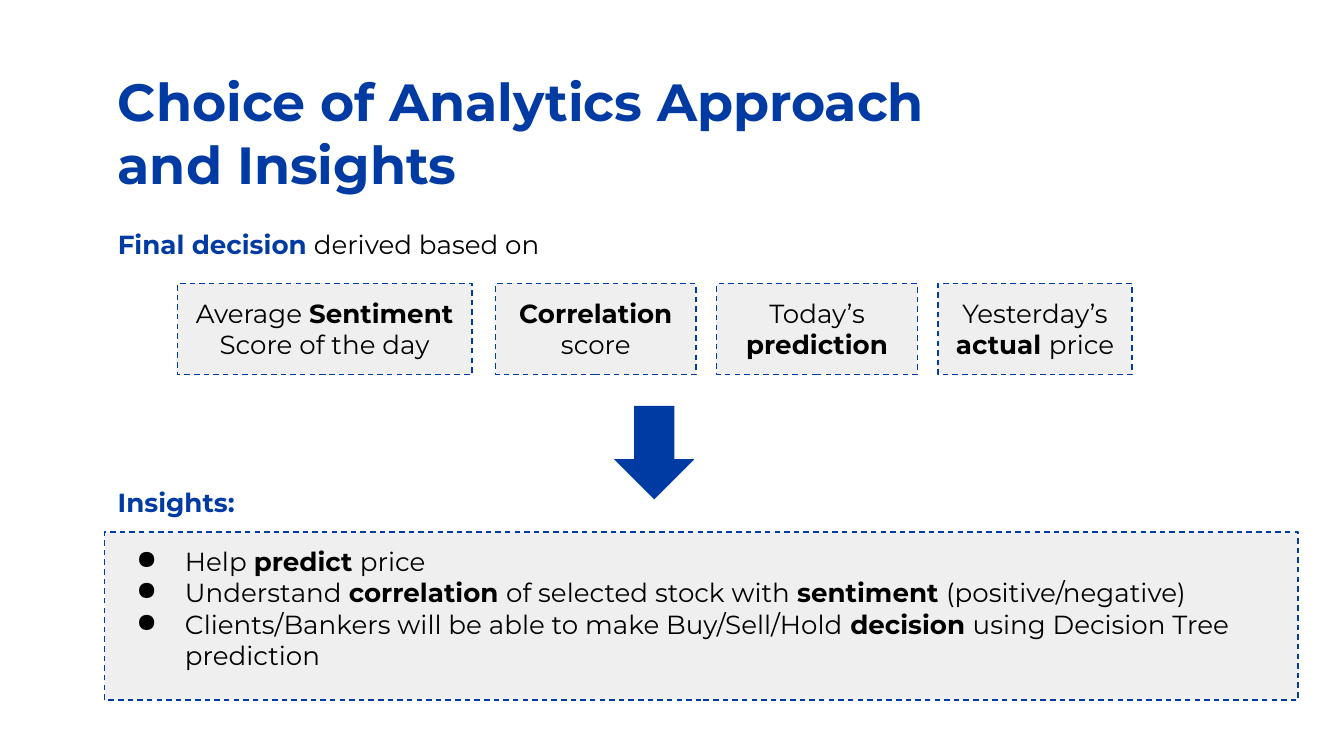
from dataclasses import dataclass
from typing import NamedTuple

from lxml import etree
from pptx import Presentation
from pptx.dml.color import RGBColor
from pptx.enum.dml import MSO_LINE
from pptx.enum.shapes import MSO_SHAPE
from pptx.enum.text import MSO_ANCHOR, PP_ALIGN
from pptx.oxml.ns import qn
from pptx.util import Pt

DASH = MSO_LINE.DASH
RECT, ARROW = MSO_SHAPE.RECTANGLE, MSO_SHAPE.LEFT_ARROW
TOP = MSO_ANCHOR.TOP
LEFT, CENTER = PP_ALIGN.LEFT, PP_ALIGN.CENTER
FONT = "Montserrat"
COLORS = {"blue": "003BA3", "black": "000000", "gray": "EFEFEF"}


class Span(NamedTuple):
    text: str
    bold: bool = False
    color: str = "black"


@dataclass
class Block:
    left: float
    top: float
    width: float
    height: float
    lines: list[list[Span]]
    size: float = 14
    align: PP_ALIGN = LEFT
    bullet: bool = False


def rgb(name: str) -> RGBColor:
    return RGBColor.from_string(COLORS[name])


def area(block: Block) -> tuple[Pt, Pt, Pt, Pt]:
    return Pt(block.left), Pt(block.top), Pt(block.width), Pt(block.height)


def add_bullet(para) -> None:
    props = para._p.get_or_add_pPr()
    props.set("marL", str(Pt(36)))
    props.set("indent", str(-Pt(26)))
    tint = etree.SubElement(props, qn("a:buClr"))
    etree.SubElement(tint, qn("a:srgbClr"), val=COLORS["black"])
    etree.SubElement(props, qn("a:buChar"), char="●")


def write(shape, block: Block) -> None:
    frame = shape.text_frame
    frame.word_wrap = True
    frame.vertical_anchor = TOP
    frame.margin_left = frame.margin_right = Pt(7.2)
    frame.margin_top = frame.margin_bottom = Pt(7.2)
    for index, line in enumerate(block.lines):
        para = frame.add_paragraph() if index else frame.paragraphs[0]
        para.alignment = block.align
        if block.bullet:
            add_bullet(para)
        for span in line:
            run = para.add_run()
            run.text = span.text
            run.font.name = FONT
            run.font.size = Pt(block.size)
            run.font.bold = span.bold
            run.font.color.rgb = rgb(span.color)


def draw_text(slide, block: Block) -> None:
    write(slide.shapes.add_textbox(*area(block)), block)


def draw_box(slide, block: Block) -> None:
    box = slide.shapes.add_shape(RECT, *area(block))
    box.shadow.inherit = False
    box.fill.solid()
    box.fill.fore_color.rgb = rgb("gray")
    box.line.color.rgb = rgb("blue")
    box.line.width = Pt(0.75)
    box.line.dash_style = DASH
    write(box, block)


def draw_arrow(slide) -> None:
    arrow = slide.shapes.add_shape(ARROW, Pt(325.5), Pt(221), Pt(50), Pt(43))
    arrow.rotation = 270
    arrow.shadow.inherit = False
    arrow.fill.solid()
    arrow.fill.fore_color.rgb = rgb("blue")
    arrow.line.fill.background()


def factor(left: float, width: float, *spans: Span) -> Block:
    return Block(left, 152, width, 48.5, [list(spans)], align=CENTER)


TEXTS = [
    Block(56, 30, 608, 45.5, [
        [Span("Choice of Analytics Approach", True, "blue")],
        [Span("and Insights", True, "blue")],
    ], size=28),
    Block(56, 115, 654.5, 115, [
        [Span("Final decision", True, "blue"), Span(" derived based on")],
    ]),
    Block(56, 253.5, 236, 31.5, [[Span("Insights:", True, "blue")]]),
]
BOXES = [
    factor(95, 158, Span("Average "), Span("Sentiment ", True),
           Span("Score of the day")),
    factor(265.5, 107.5, Span("Correlation ", True), Span("score")),
    factor(384, 107.5, Span("Today’s "), Span("prediction", True)),
    factor(502.5, 104, Span("Yesterday’s "), Span("actual ", True),
           Span("price")),
    Block(56, 285, 639.5, 90, [
        [Span("Help "), Span("predict ", True), Span("price")],
        [Span("Understand "), Span("correlation ", True),
         Span("of selected stock with "), Span("sentiment ", True),
         Span("(positive/negative)")],
        [Span("Clients/Bankers will be able to make Buy/Sell/Hold "),
         Span("decision ", True), Span("using Decision Tree prediction")],
    ], bullet=True),
]


def main() -> None:
    """Build the slide on analytics approach and insights."""
    deck = Presentation()
    deck.slide_width, deck.slide_height = Pt(720), Pt(405)
    slide = deck.slides.add_slide(deck.slide_layouts[6])
    for block in TEXTS:
        draw_text(slide, block)
    for block in BOXES:
        draw_box(slide, block)
    draw_arrow(slide)
    deck.save("out.pptx")


if __name__ == "__main__":
    main()
